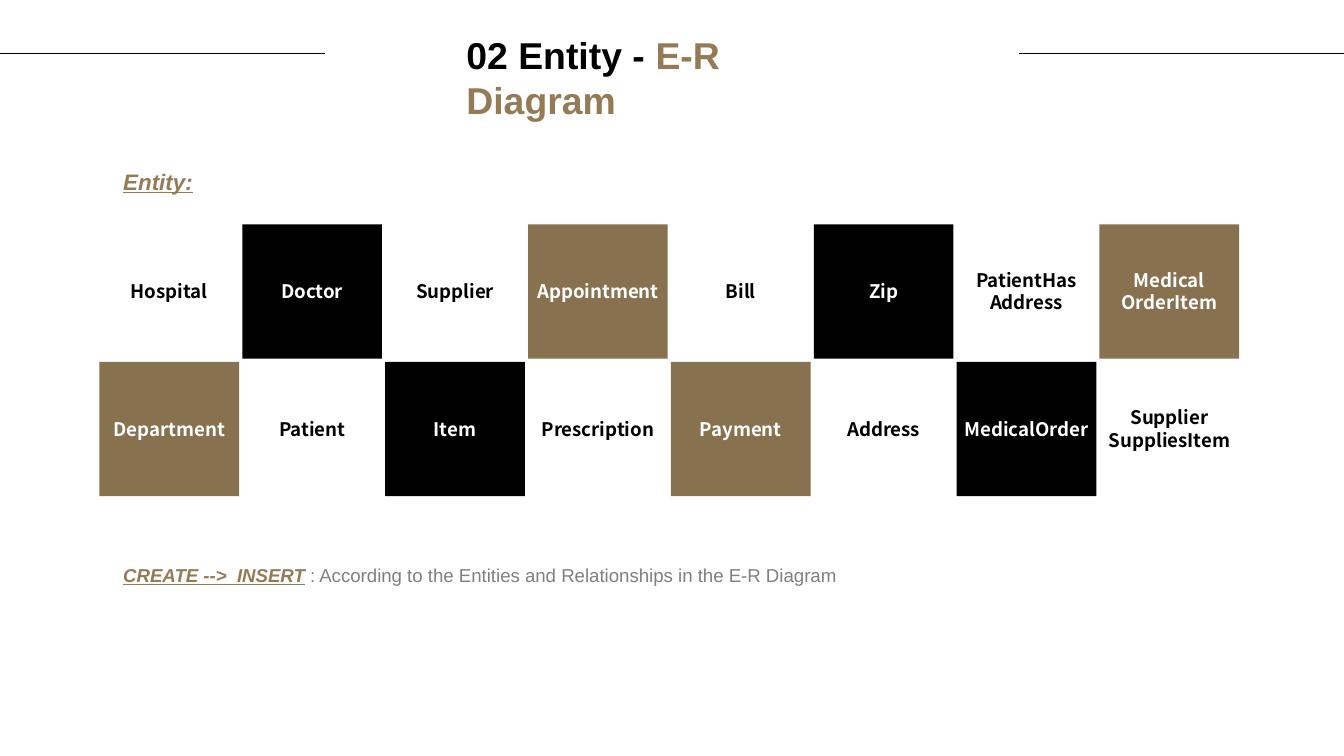
from dataclasses import dataclass

import pptx
import pptx.dml.color
import pptx.enum.shapes
import pptx.enum.text
import pptx.oxml.ns
import pptx.slide
import pptx.text.text
import pptx.util
from lxml import etree

Cm = pptx.util.Cm


@dataclass(frozen=True)
class Theme:
    black: str = "000000"
    white: str = "FFFFFF"
    grey: str = "808080"
    tile_brown: str = "88714E"
    accent: str = "957B55"
    heading_font: str = "Arial"
    label_font: str = "Noto Sans CJK SC"
    title_size: float = 20
    section_size: float = 12
    body_size: float = 10
    rule_width: float = 0.5


@dataclass(frozen=True)
class Box:
    left: float
    top: float
    width: float
    height: float


@dataclass(frozen=True)
class Piece:
    text: str
    size: float
    color: str
    font: str
    bold: bool = True
    emphasis: bool = False  # italic and underlined


@dataclass(frozen=True)
class Entity:
    lines: tuple[str, ...]
    label_width: float
    label_height: float = 0.69


THEME = Theme()
SLIDE_WIDTH, SLIDE_HEIGHT = 25.4, 14.29

# Checkerboard grid, in centimetres
GRID_LEFT, GRID_TOP = 1.88, 4.24
COLUMN_PITCH, ROW_PITCH = 2.7, 2.6
TILE_WIDTH, TILE_HEIGHT = 2.64, 2.54
TWO_LINES = 1.12

ENTITY_ROWS = (
    (
        Entity(("Hospital",), 2.26),
        Entity(("Doctor",), 2.13),
        Entity(("Supplier",), 2.26),
        Entity(("Appointment",), 3.12),
        Entity(("Bill",), 2.26),
        Entity(("Zip",), 2.13),
        Entity(("PatientHasAddress",), 2.54, TWO_LINES),
        Entity(("Medical", "OrderItem"), 2.5, TWO_LINES),
    ),
    (
        Entity(("Department",), 2.87),
        Entity(("Patient",), 2.26),
        Entity(("Item",), 2.67),
        Entity(("Prescription",), 2.82),
        Entity(("Payment",), 2.24),
        Entity(("Address",), 2.26),
        Entity(("MedicalOrder",), 3.18),
        Entity(("Supplier", "SuppliesItem"), 3.05, TWO_LINES),
    ),
)


def rgb(color: str) -> pptx.dml.color.RGBColor:
    return pptx.dml.color.RGBColor.from_string(color)


def lengths(box: Box) -> tuple[int, int, int, int]:
    return Cm(box.left), Cm(box.top), Cm(box.width), Cm(box.height)


def add_piece(paragraph: pptx.text.text._Paragraph, piece: Piece) -> None:
    run = paragraph.add_run()
    run.text = piece.text
    font = run.font
    font.name, font.size = piece.font, pptx.util.Pt(piece.size)
    font.bold, font.italic, font.underline = piece.bold, piece.emphasis, piece.emphasis
    font.color.rgb = rgb(piece.color)


def add_text(slide: pptx.slide.Slide, box: Box, lines: list[list[Piece]],
             align: pptx.enum.text.PP_ALIGN = pptx.enum.text.PP_ALIGN.LEFT) -> None:
    frame = slide.shapes.add_textbox(*lengths(box)).text_frame
    frame.word_wrap = True
    for index, pieces in enumerate(lines):
        paragraph = frame.add_paragraph() if index else frame.paragraphs[0]
        paragraph.alignment = align
        for piece in pieces:
            add_piece(paragraph, piece)


def add_title(slide: pptx.slide.Slide, box: Box, pieces: list[Piece]) -> None:
    title = slide.shapes.title
    title.left, title.top, title.width, title.height = lengths(box)
    frame = title.text_frame
    frame.word_wrap = True
    frame.auto_size = pptx.enum.text.MSO_AUTO_SIZE.NONE
    frame.vertical_anchor = pptx.enum.text.MSO_ANCHOR.TOP
    frame.paragraphs[0].alignment = pptx.enum.text.PP_ALIGN.LEFT
    for piece in pieces:
        add_piece(frame.paragraphs[0], piece)


def add_rule(slide: pptx.slide.Slide, start: float, end: float, y: float) -> None:
    rule = slide.shapes.add_connector(
        pptx.enum.shapes.MSO_CONNECTOR.STRAIGHT, Cm(start), Cm(y), Cm(end), Cm(y))
    rule.line.color.rgb = rgb(THEME.black)
    rule.line.width = pptx.util.Pt(THEME.rule_width)
    etree.SubElement(rule._element.spPr, pptx.oxml.ns.qn("a:effectLst"))


def add_tile(slide: pptx.slide.Slide, box: Box, color: str) -> None:
    tile = slide.shapes.add_shape(pptx.enum.shapes.MSO_SHAPE.RECTANGLE, *lengths(box))
    tile.shadow.inherit = False
    tile.fill.solid()
    tile.fill.fore_color.rgb = rgb(color)
    tile.line.fill.background()


def add_entity(slide: pptx.slide.Slide, entity: Entity, row: int, column: int) -> None:
    cell = Box(GRID_LEFT + column * COLUMN_PITCH, GRID_TOP + row * ROW_PITCH,
               TILE_WIDTH, TILE_HEIGHT)
    filled = (row + column) % 2 == 1
    if filled:
        # Black and brown alternate among the filled tiles of a row
        add_tile(slide, cell, THEME.black if column % 4 == row + 1 else THEME.tile_brown)
    label = Box(cell.left + (cell.width - entity.label_width) / 2,
                cell.top + (cell.height - entity.label_height) / 2,
                entity.label_width, entity.label_height)
    color = THEME.white if filled else THEME.black
    add_text(slide, label,
             [[Piece(line, THEME.body_size, color, THEME.label_font)] for line in entity.lines],
             pptx.enum.text.PP_ALIGN.CENTER)


def main() -> None:
    deck = pptx.Presentation()
    deck.slide_width, deck.slide_height = Cm(SLIDE_WIDTH), Cm(SLIDE_HEIGHT)
    slide = deck.slides.add_slide(deck.slide_layouts.get_by_name("Title Only"))

    # Title between two rules
    add_title(slide, Box(8.56, 0.48, 8.28, 1.96), [
        Piece("02 Entity - ", THEME.title_size, THEME.black, THEME.heading_font),
        Piece("E-R Diagram", THEME.title_size, THEME.accent, THEME.heading_font),
    ])
    rule_length = 6.15
    for start in (0, SLIDE_WIDTH - rule_length):
        add_rule(slide, start, start + rule_length, 1.01)

    # Section heading
    add_text(slide, Box(2.08, 3.05, 15.21, 0.76), [[
        Piece("Entity:", THEME.section_size, THEME.accent, THEME.heading_font, emphasis=True),
    ]])

    # Entity checkerboard
    for row, entities in enumerate(ENTITY_ROWS):
        for column, entity in enumerate(entities):
            add_entity(slide, entity, row, column)

    # Closing remark
    add_text(slide, Box(2.08, 10.54, 15.21, 0.69), [[
        Piece("CREATE -->  INSERT", THEME.body_size, THEME.accent, THEME.heading_font,
              emphasis=True),
        Piece(" : According to the Entities and Relationships in the E-R Diagram",
              THEME.body_size, THEME.grey, THEME.heading_font, bold=False),
    ]])

    deck.save("out.pptx")


if __name__ == "__main__":
    main()
